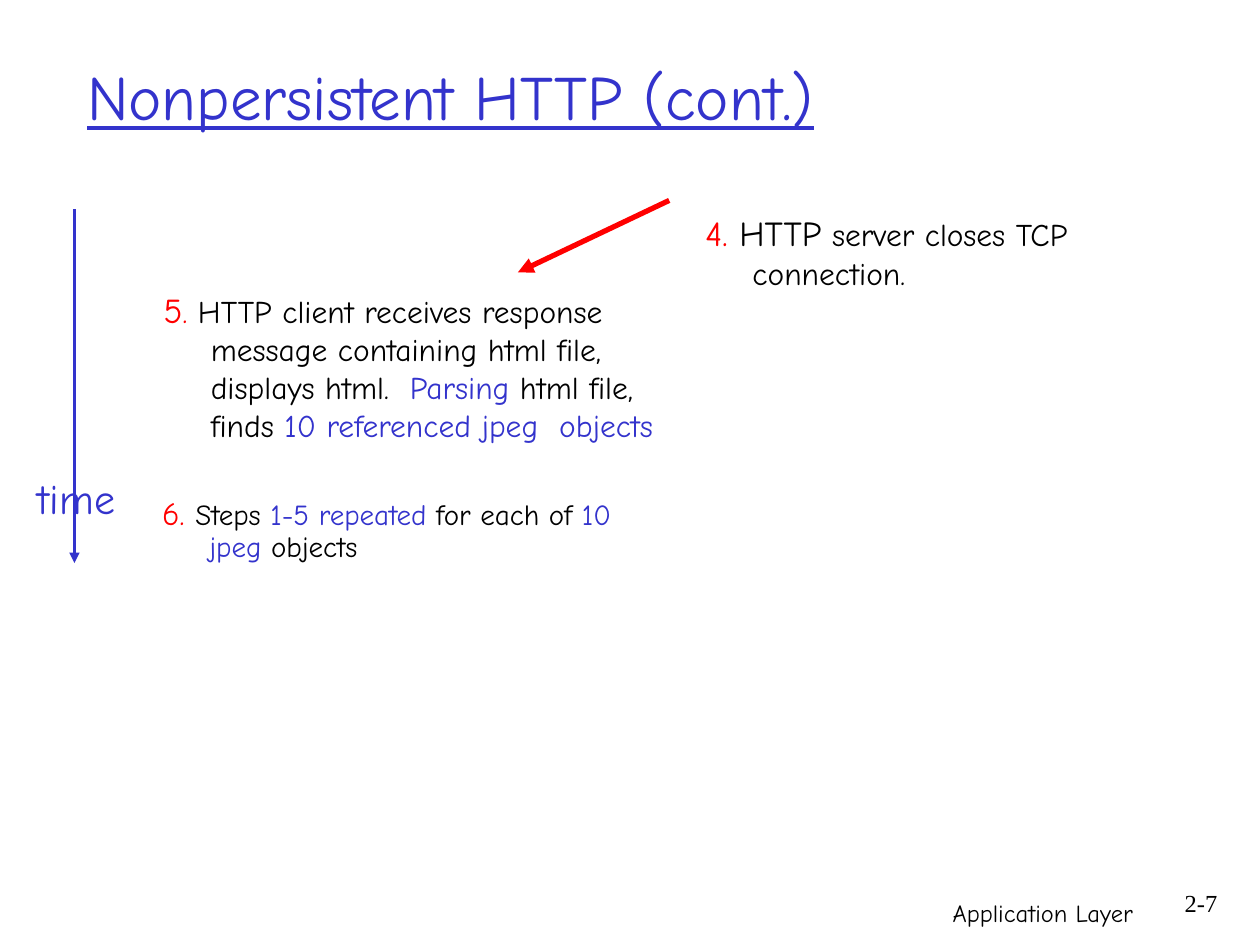
"""Build the slide on closing a nonpersistent HTTP connection."""
import pptx
import pptx.dml.color
import pptx.enum.shapes
import pptx.enum.text
import pptx.oxml.ns
import pptx.util
import lxml.etree

Cm, Pt = pptx.util.Cm, pptx.util.Pt
ALIGN = pptx.enum.text.PP_ALIGN
ANCHOR = pptx.enum.text.MSO_ANCHOR

BLACK, BLUE, RED = "000000", "3333CC", "FF0000"
COMIC, TIMES = "Comic Neue", "Times New Roman"

TITLE = ("Nonpersistent HTTP (cont.)", 36, BLUE)
TITLE_PLACE = (1.5, 0.71, 21.59, 2.41)

STEPS = [
    {"place": (3.05, 5.69, 10.59, 4.27), "spacing": 1, "runs": [
        ("5", 20, RED),
        (".", 18, RED),
        (" HTTP client receives response message containing html file, displays html.  ", 18, BLACK),
        ("Parsing", 18, BLUE),
        (" html file, finds ", 18, BLACK),
        ("10 referenced jpeg  objects", 18, BLUE)]},
    {"place": (3.02, 9.91, 10.59, 1.85), "spacing": 0.9, "runs": [
        ("6. ", 18.5, RED),
        ("Steps ", 16.6, BLACK),
        ("1-5 repeated", 16.6, BLUE),
        (" for each of ", 16.6, BLACK),
        ("10 jpeg", 16.6, BLUE),
        (" objects", 16.6, BLACK)]},
    {"place": (13.97, 4.14, 10.59, 2.03), "spacing": 1, "runs": [
        ("4.", 20, RED),
        (" HTTP", 20, BLACK),
        (" server closes TCP connection.", 18, BLACK)]},
]

LABELS = [
    {"place": (15.04, 17.98, 8.05, 1.27), "runs": [("Application Layer", 14, BLACK)],
     "align": ALIGN.RIGHT},
    {"place": (23.06, 17.78, 1.73, 1.27), "runs": [("2-7", 14, BLACK)],
     "align": ALIGN.RIGHT, "font": TIMES},
    {"place": (0.51, 9.4, 2.06, 1.27), "runs": [("time", 24, BLUE)],
     "align": ALIGN.CENTER, "wrap": False},
]

ARROWS = [
    {"start": (1.5, 4.22), "end": (1.5, 11.35), "color": BLUE, "width": 1.5},
    {"start": (13.49, 4.04), "end": (10.44, 5.49), "color": RED, "width": 3},
]


def rgb(value):
    return pptx.dml.color.RGBColor.from_string(value)


def write_text(frame, runs, font=COMIC, align=ALIGN.LEFT, anchor=ANCHOR.TOP,
               hanging=0, spacing=1, underline=False, wrap=True):
    frame.word_wrap = wrap
    frame.vertical_anchor = anchor
    paragraph = frame.paragraphs[0]
    paragraph.alignment = align
    paragraph.line_spacing = spacing
    if hanging:
        properties = paragraph._p.get_or_add_pPr()
        properties.set("marL", str(int(Cm(hanging))))
        properties.set("indent", str(-int(Cm(hanging))))
    for text, size, color in runs:
        run = paragraph.add_run()
        run.text = text
        run.font.name = font
        run.font.size = Pt(size)
        run.font.underline = underline
        run.font.color.rgb = rgb(color)


def add_text(slide, place, runs, **text_format):
    box = slide.shapes.add_textbox(*map(Cm, place))
    write_text(box.text_frame, runs, **text_format)


def add_arrow(slide, start, end, color, width):
    connector = slide.shapes.add_connector(
        pptx.enum.shapes.MSO_CONNECTOR.STRAIGHT, *map(Cm, start + end))
    connector.line.color.rgb = rgb(color)
    connector.line.width = Pt(width)
    properties = connector._element.spPr
    line = properties.find(pptx.oxml.ns.qn("a:ln"))
    lxml.etree.SubElement(line, pptx.oxml.ns.qn("a:tailEnd"), type="triangle")
    lxml.etree.SubElement(properties, pptx.oxml.ns.qn("a:effectLst"))


def main():
    presentation = pptx.Presentation()
    presentation.slide_width, presentation.slide_height = Cm(25.4), Cm(19.05)
    slide = presentation.slides.add_slide(presentation.slide_layouts[5])

    title = slide.shapes.title
    title.left, title.top, title.width, title.height = map(Cm, TITLE_PLACE)
    write_text(title.text_frame, [TITLE], anchor=ANCHOR.MIDDLE, underline=True)

    for arrow in ARROWS:
        add_arrow(slide, **arrow)
    for step in STEPS:
        add_text(slide, hanging=0.95, **step)
    for label in LABELS:
        add_text(slide, **label)

    presentation.save("out.pptx")


if __name__ == "__main__":
    main()
